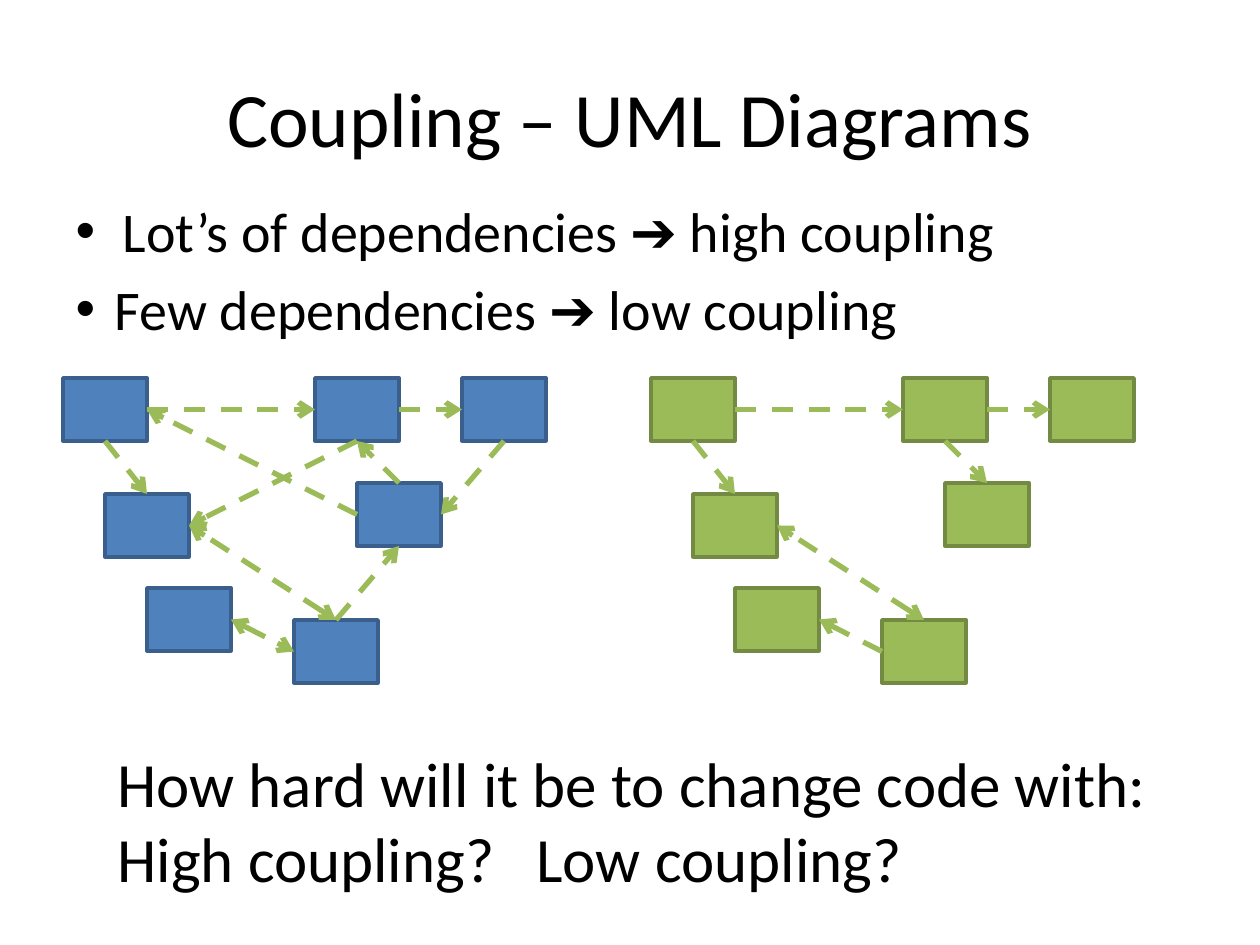
from lxml.etree import SubElement
from pptx import Presentation
from pptx.dml.color import RGBColor
from pptx.enum.dml import MSO_LINE_DASH_STYLE as Dash
from pptx.enum.shapes import MSO_CONNECTOR as Connector, MSO_SHAPE as Shape
from pptx.enum.text import MSO_ANCHOR as Anchor, MSO_AUTO_SIZE as AutoSize, PP_ALIGN as Align
from pptx.oxml.ns import qn
from pptx.util import Emu, Pt

COLORS = {
    "text": "000000",
    "blue": "4F81BD",
    "blue edge": "3A5F8C",
    "green": "9BBB59",
    "green edge": "738A42",
}
TOP, LEFT, BOTTOM, RIGHT = range(4)


def px(length):
    """Turn pixels, 126 to the inch, into EMU."""
    return Emu(round(length * 914400 / 126))


def add_text(paragraph, text, size):
    run = paragraph.add_run()
    run.text = text
    run.font.name = "Calibri"
    run.font.size = Pt(size)
    run.font.color.rgb = RGBColor.from_string(COLORS["text"])


presentation = Presentation()
presentation.slide_width, presentation.slide_height = px(1260), px(945)
slide = presentation.slides.add_slide(presentation.slide_layouts[1])

# Title
title = slide.shapes.title
title.left, title.top, title.width, title.height = px(63), px(38), px(1134), px(158)
title.text_frame.vertical_anchor = Anchor.MIDDLE
title.text_frame.auto_size = AutoSize.NONE
paragraph = title.text_frame.paragraphs[0]
paragraph.alignment = Align.CENTER
add_text(paragraph, "Coupling – UML Diagrams", 44)

# Bullet list
body = slide.placeholders[1]
body.left, body.top, body.width, body.height = px(63), px(190), px(1134), px(624)
frame = body.text_frame
frame.auto_size = AutoSize.NONE
bullets = [
    ("Lot’s of dependencies ➔ high coupling", 47, 0),
    ("Few dependencies ➔ low coupling", 39, 6.4),
]
for index, (text, indent, space_before) in enumerate(bullets):
    paragraph = frame.paragraphs[0] if index == 0 else frame.add_paragraph()
    properties = paragraph._p.get_or_add_pPr()
    properties.set("marL", str(px(indent)))
    properties.set("indent", str(-px(indent)))
    paragraph.space_before = Pt(space_before)
    add_text(paragraph, text, 32)

# Class diagrams: box corners are relative to the diagram's left edge
boxes = {
    "root": (0, 378),
    "child": (42, 494),
    "base": (231, 620),
    "leaf": (84, 588),
    "hub": (252, 378),
    "helper": (294, 483),
    "end": (399, 378),
}
# Each dependency: start box and side, end box and side, arrow at both ends
high_coupling = [
    ("root", RIGHT, "hub", LEFT, False),
    ("root", BOTTOM, "child", TOP, False),
    ("hub", BOTTOM, "child", RIGHT, False),
    ("leaf", RIGHT, "base", LEFT, True),
    ("base", TOP, "helper", BOTTOM, False),
    ("base", TOP, "child", RIGHT, True),
    ("hub", RIGHT, "end", LEFT, False),
    ("end", BOTTOM, "helper", RIGHT, False),
    ("helper", TOP, "hub", BOTTOM, False),
    ("helper", LEFT, "root", RIGHT, False),
]
low_coupling = [
    ("root", RIGHT, "hub", LEFT, False),
    ("root", BOTTOM, "child", TOP, False),
    ("base", LEFT, "leaf", RIGHT, False),
    ("base", TOP, "child", RIGHT, True),
    ("hub", RIGHT, "end", LEFT, False),
    ("hub", BOTTOM, "helper", TOP, False),
]
for diagram_left, color, dependencies in [
    (63, "blue", high_coupling),
    (651, "green", low_coupling),
]:
    diagram = slide.shapes.add_group_shape()
    classes = {}
    for name, (left, top) in boxes.items():
        box = diagram.shapes.add_shape(
            Shape.RECTANGLE, px(diagram_left + left), px(top), px(84), px(63))
        box.shadow.inherit = False
        box.fill.solid()
        box.fill.fore_color.rgb = RGBColor.from_string(COLORS[color])
        box.line.color.rgb = RGBColor.from_string(COLORS[color + " edge"])
        box.line.width = Pt(2)
        classes[name] = box

    for start, start_side, end, end_side, both_ends in dependencies:
        arrow = diagram.shapes.add_connector(
            Connector.STRAIGHT, px(diagram_left), px(378), px(diagram_left), px(378))
        arrow.begin_connect(classes[start], start_side)
        arrow.end_connect(classes[end], end_side)
        arrow.line.color.rgb = RGBColor.from_string(COLORS["green"])
        arrow.line.width = Pt(3)
        arrow.line.dash_style = Dash.DASH
        line = arrow.line._get_or_add_ln()
        if both_ends:
            SubElement(line, qn("a:headEnd"), type="arrow")
        SubElement(line, qn("a:tailEnd"), type="arrow")
        SubElement(arrow._element.spPr, qn("a:effectLst"))

# Closing question
question = slide.shapes.add_textbox(px(105), px(738), px(1092), px(165))
frame = question.text_frame
frame.word_wrap = True
add_text(frame.paragraphs[0], "How hard will it be to change code with:", 36)
paragraph = frame.add_paragraph()
tabs = SubElement(paragraph._p.get_or_add_pPr(), qn("a:tabLst"))
SubElement(tabs, qn("a:tab"), pos=str(px(419)), algn="l")
add_text(paragraph, "High coupling?\tLow coupling?", 36)

presentation.save("out.pptx")
